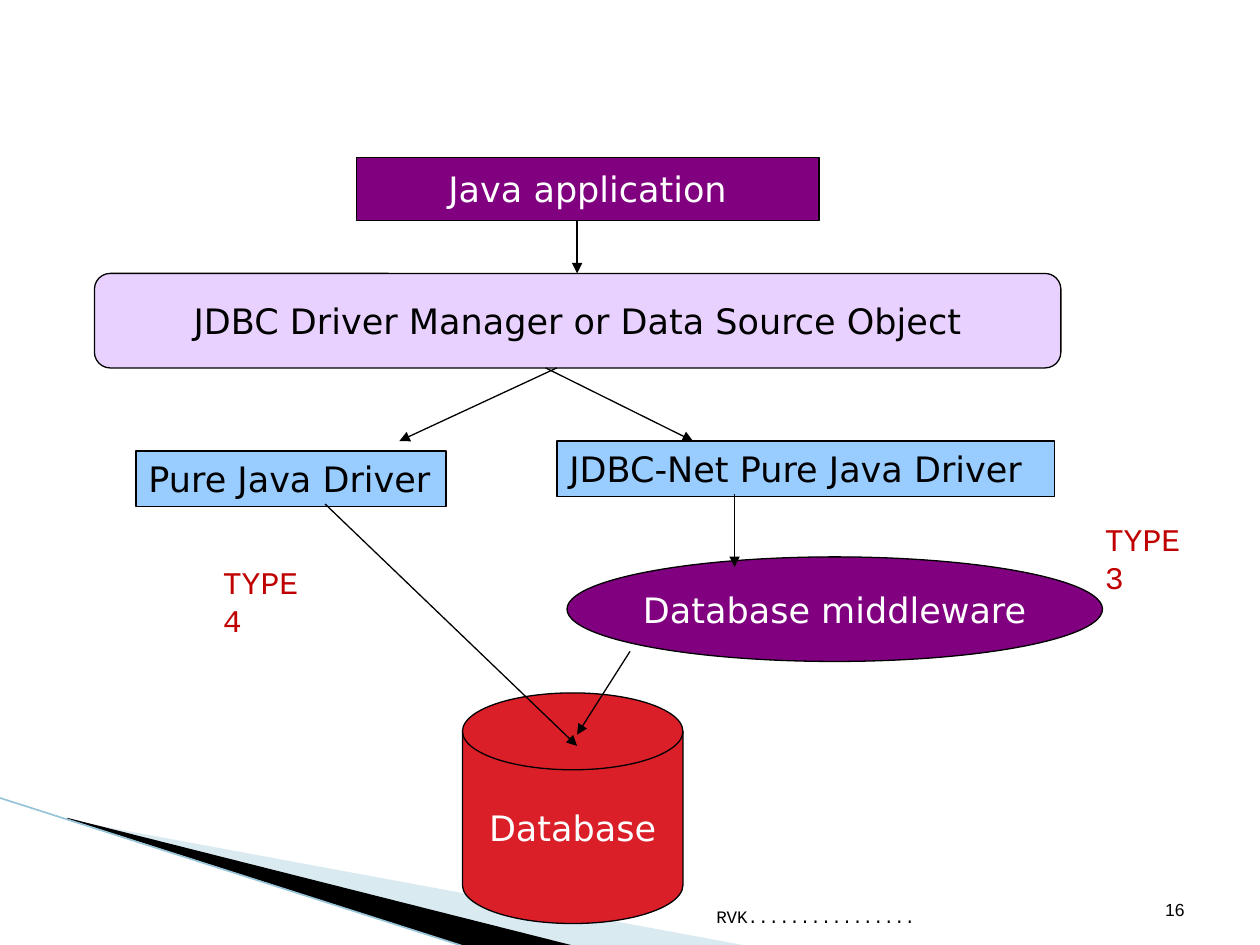
from lxml import etree
from pptx import Presentation
from pptx.dml.color import RGBColor
from pptx.enum.shapes import MSO_CONNECTOR, MSO_SHAPE
from pptx.enum.text import MSO_ANCHOR, PP_ALIGN
from pptx.oxml.ns import qn
from pptx.util import Inches, Pt

RECT, ROUNDED = MSO_SHAPE.RECTANGLE, MSO_SHAPE.ROUNDED_RECTANGLE
OVAL, DISK = MSO_SHAPE.OVAL, MSO_SHAPE.FLOWCHART_MAGNETIC_DISK
STRAIGHT = MSO_CONNECTOR.STRAIGHT
TOP, MIDDLE, BOTTOM = MSO_ANCHOR.TOP, MSO_ANCHOR.MIDDLE, MSO_ANCHOR.BOTTOM
LEFT, CENTER, RIGHT = PP_ALIGN.LEFT, PP_ALIGN.CENTER, PP_ALIGN.RIGHT

BLANK_LAYOUT = 6
COLORS = {
    "black": "000000", "white": "FFFFFF", "purple": "800080",
    "lilac": "E8D1FF", "blue": "99CCFF", "red": "DA1F28",
    "type": "C00000", "band": "A0CBDC", "edge": "97C5D8",
}


def rgb(name):
    return RGBColor.from_string(COLORS[name])


def write(shape, text, font, size, color, align, anchor, wrap=True):
    frame = shape.text_frame
    frame.word_wrap = wrap
    frame.vertical_anchor = anchor
    paragraph = frame.paragraphs[0]
    paragraph.text = text
    paragraph.alignment = align
    paragraph.font.name = font
    paragraph.font.size = Pt(size)
    paragraph.font.color.rgb = rgb(color)


def add_node(slide, kind, box, text, fill, color, align=CENTER, anchor=MIDDLE):
    node = slide.shapes.add_shape(kind, *map(Inches, box))
    node.shadow.inherit = False
    node.fill.solid()
    node.fill.fore_color.rgb = rgb(fill)
    node.line.color.rgb = rgb("black")
    node.line.width = Pt(0.75)
    write(node, text, "DejaVu Sans", 20, color, align, anchor, wrap=align == LEFT)


def add_label(slide, box, text, font, size, color, align, anchor):
    label = slide.shapes.add_textbox(*map(Inches, box))
    write(label, text, font, size, color, align, anchor)


def add_line(slide, start, end, color="black", width=0.75, arrow=True):
    line = slide.shapes.add_connector(STRAIGHT, *map(Inches, start + end))
    line.line.color.rgb = rgb(color)
    line.line.width = Pt(width)
    if arrow:
        etree.SubElement(line.line._get_or_add_ln(), qn("a:tailEnd"), type="triangle")
    etree.SubElement(line._element.spPr, qn("a:effectLst"))


def add_wedge(slide, points, color, opacity=100):
    start, *rest = [(Inches(x), Inches(y)) for x, y in points]
    builder = slide.shapes.build_freeform(*start)
    builder.add_line_segments(rest, close=True)
    wedge = builder.convert_to_shape()
    wedge.shadow.inherit = False
    wedge.line.fill.background()
    wedge.fill.solid()
    wedge.fill.fore_color.rgb = rgb(color)
    if opacity < 100:
        tint = wedge._element.spPr.find(".//" + qn("a:srgbClr"))
        etree.SubElement(tint, qn("a:alpha"), val=str(opacity * 1000))


def main():
    deck = Presentation()
    deck.slide_width, deck.slide_height = Inches(10), Inches(7.5)
    slide = deck.slides.add_slide(deck.slide_layouts[BLANK_LAYOUT])

    # Corner decoration
    add_wedge(slide, [(0.55, 6.51), (5.95, 7.51), (4.56, 7.51), (0.55, 6.5)], "band", 40)
    add_wedge(slide, [(0.53, 6.49), (4.57, 7.51), (3.72, 7.52), (0.54, 6.5)], "black")
    add_line(slide, (-0.01, 6.33), (3.71, 7.52), "edge", 0.95, arrow=False)

    # Layers from the application down to the database
    for node in (
        (RECT, (2.83, 1.25, 3.67, 0.5), "Java application", "purple", "white"),
        (ROUNDED, (0.75, 2.17, 7.67, 0.75),
         "JDBC Driver Manager or Data Source Object", "lilac", "black"),
        (RECT, (1.08, 3.58, 2.46, 0.44), "Pure Java Driver", "blue", "black", LEFT, TOP),
        (RECT, (4.42, 3.5, 3.95, 0.44), "JDBC-Net Pure Java Driver", "blue", "black", LEFT, TOP),
        (OVAL, (4.5, 4.42, 4.25, 0.83), "Database middleware", "purple", "white"),
        (DISK, (3.67, 5.5, 1.75, 1.83), "Database", "red", "white"),
    ):
        add_node(slide, *node)

    # Calls between the layers
    for start, end in (
        ((4.58, 1.75), (4.58, 2.17)),
        ((4.42, 2.92), (3.17, 3.5)),
        ((4.33, 2.92), (5.5, 3.5)),
        ((5.83, 3.92), (5.83, 4.5)),
        ((5, 5.17), (4.58, 5.83)),
        ((2.58, 4), (4.58, 5.92)),
    ):
        add_line(slide, start, end)

    # Driver types
    for left, top, text in ((1.67, 4.42, "TYPE 4"), (8.67, 4.08, "TYPE 3")):
        add_label(slide, (left, top, 1.07, 0.4), text, "Courier New", 18, "type", LEFT, TOP)

    # Footer and slide number
    add_label(slide, (4.79, 7.01, 2.57, 0.4), "RVK................",
              "Courier New", 10, "black", RIGHT, BOTTOM)
    add_label(slide, (7.17, 6.83, 2.33, 0.52), "16", "Arial", 10, "black", RIGHT, BOTTOM)

    deck.save("out.pptx")


if __name__ == "__main__":
    main()
